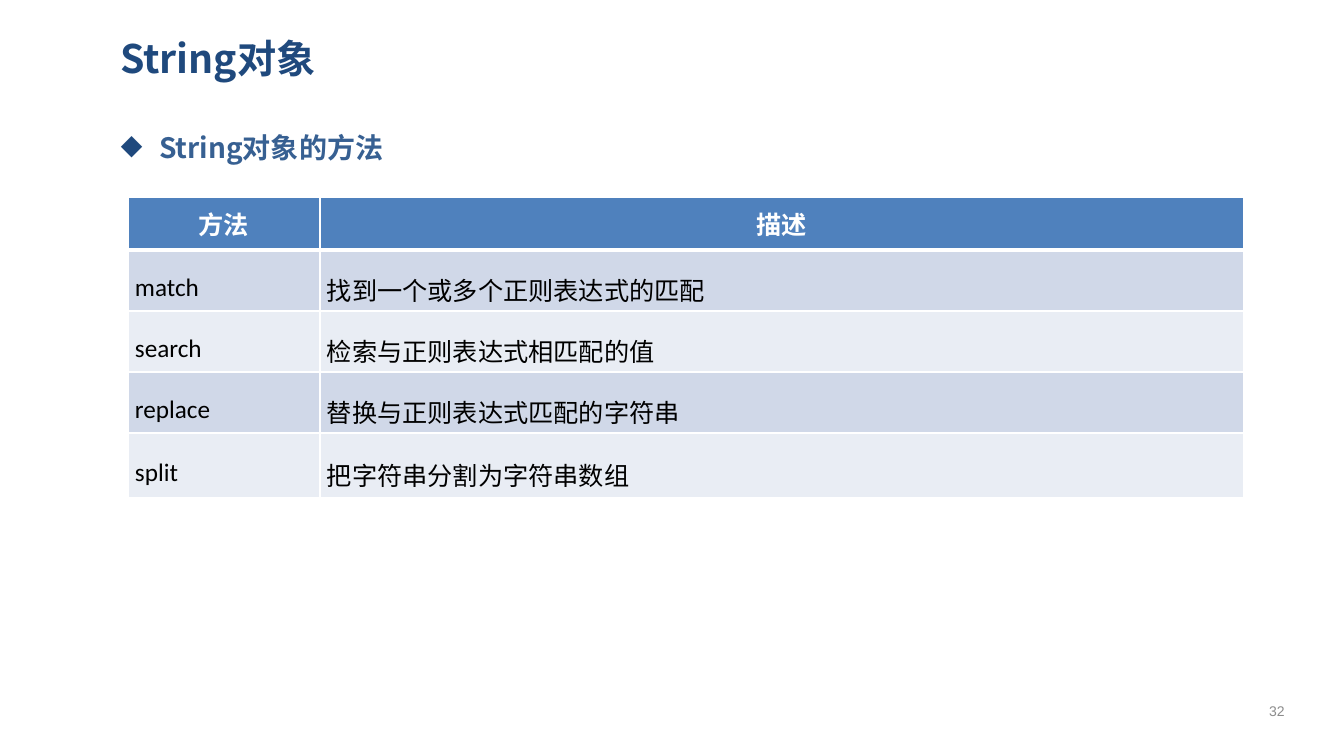
from lxml.etree import SubElement
from pptx import Presentation
from pptx.dml.color import RGBColor
from pptx.enum.text import MSO_ANCHOR, MSO_AUTO_SIZE, PP_ALIGN
from pptx.oxml.ns import qn
from pptx.util import Pt

SCALE = 914400 / 100.8
NAVY = RGBColor(0x1F, 0x49, 0x7D)
BLUE = RGBColor(0x37, 0x60, 0x92)
HEADER = RGBColor(0x4F, 0x81, 0xBD)
BANDS = RGBColor(0xD0, 0xD8, 0xE8), RGBColor(0xE9, 0xED, 0xF4)
WHITE = RGBColor(0xFF, 0xFF, 0xFF)
BLACK = RGBColor(0, 0, 0)
GRAY = RGBColor(0x8C, 0x8C, 0x8C)
CJK = "Noto Sans CJK SC"


def px(n):
    return round(n * SCALE)


def apply(target, formats):
    for name, value in formats.items():
        setattr(target, name, value)


class SlideBuilder:
    def __init__(self, prs):
        self.s = prs.slides.add_slide(prs.slide_layouts[5])
        self.frame = dict(word_wrap=True, auto_size=MSO_AUTO_SIZE.NONE,
                          margin_left=px(9), margin_right=px(9),
                          margin_top=px(4), margin_bottom=px(4))
        self.cell = dict(vertical_anchor=MSO_ANCHOR.MIDDLE, margin_left=px(7),
                         margin_right=px(7), margin_top=0, margin_bottom=0)

    def paragraph(self, tf, text, size, color, font=CJK, bold=False, **para):
        p = tf.paragraphs[0]
        apply(p, para)
        r = p.add_run()
        r.text = text
        apply(r.font, dict(size=Pt(size), bold=bold, name=font))
        r.font.color.rgb = color
        SubElement(r.font._element, qn("a:ea"), typeface=CJK if font == "Calibri" else font)
        return p

    def place(self, sp, box, anchor):
        apply(sp, dict(zip(("left", "top", "width", "height"), map(px, box))))
        apply(sp.text_frame, dict(self.frame, vertical_anchor=anchor))
        return sp.text_frame

    def title(self, text, box):
        tf = self.place(self.s.shapes.title, box, MSO_ANCHOR.MIDDLE)
        self.paragraph(tf, text, 28, NAVY, bold=True, alignment=PP_ALIGN.LEFT)

    def text(self, text, box, size, color, anchor=MSO_ANCHOR.TOP, **style):
        sp = self.s.shapes.add_textbox(*map(px, box))
        return self.paragraph(self.place(sp, box, anchor), text, size, color, **style)

    def bullet(self, text, box):
        p = self.text(text, box, 20, BLUE, bold=True, line_spacing=1.2, space_before=Pt(4))
        pPr = p._p.get_or_add_pPr()
        pPr.set("marL", str(px(38)))
        pPr.set("indent", str(-px(38)))
        SubElement(SubElement(pPr, qn("a:buClr")), qn("a:srgbClr"), val=str(NAVY))
        SubElement(pPr, qn("a:buChar"), char="◆")

    def borders(self, cell, widths):
        tcPr = cell._tc.get_or_add_tcPr()
        for side, width in zip("LRTB", widths):
            ln = SubElement(tcPr, qn(f"a:ln{side}"), w=str(int(Pt(width))))
            SubElement(SubElement(ln, qn("a:solidFill")), qn("a:srgbClr"), val=str(WHITE))

    def table(self, rows, left, top, widths, heights):
        box = map(px, (left, top, sum(widths), sum(heights)))
        table = self.s.shapes.add_table(len(rows), len(widths), *box).table
        for column, width in zip(table.columns, widths):
            column.width = px(width)
        for i, (row, height) in enumerate(zip(rows, heights)):
            table.rows[i].height = px(height)
            if i == 0:
                fill = HEADER
                style = dict(color=WHITE, bold=True, alignment=PP_ALIGN.CENTER,
                             space_before=Pt(4))
            else:
                fill = BANDS[(i - 1) % 2]
                style = dict(color=BLACK, alignment=PP_ALIGN.JUSTIFY, line_spacing=1.5)
            for j, text in enumerate(row):
                cell = table.cell(i, j)
                apply(cell, self.cell)
                self.borders(cell, (1, 1, 3 if i == 1 else 1, 3 if i == 0 else 1))
                cell.fill.solid()
                cell.fill.fore_color.rgb = fill
                self.paragraph(cell.text_frame, text, 18, font="Calibri", **style)


METHODS = [
    ("方法", "描述"),
    ("match", "找到一个或多个正则表达式的匹配"),
    ("search", "检索与正则表达式相匹配的值"),
    ("replace", "替换与正则表达式匹配的字符串"),
    ("split", "把字符串分割为字符串数组"),
]

prs = Presentation()
apply(prs, dict(slide_width=px(1344), slide_height=px(756)))
slide = SlideBuilder(prs)
slide.bullet("String对象的方法", (112, 120, 1174, 573))
slide.title("String对象", (111, 24, 1174, 68))
slide.table(METHODS, 128, 197, (192, 924), (53, 61, 61, 61, 65))
slide.text("32", (1244, 691, 66, 40), 10, GRAY, MSO_ANCHOR.MIDDLE,
           font="Arial", alignment=PP_ALIGN.CENTER)
prs.save("out.pptx")
